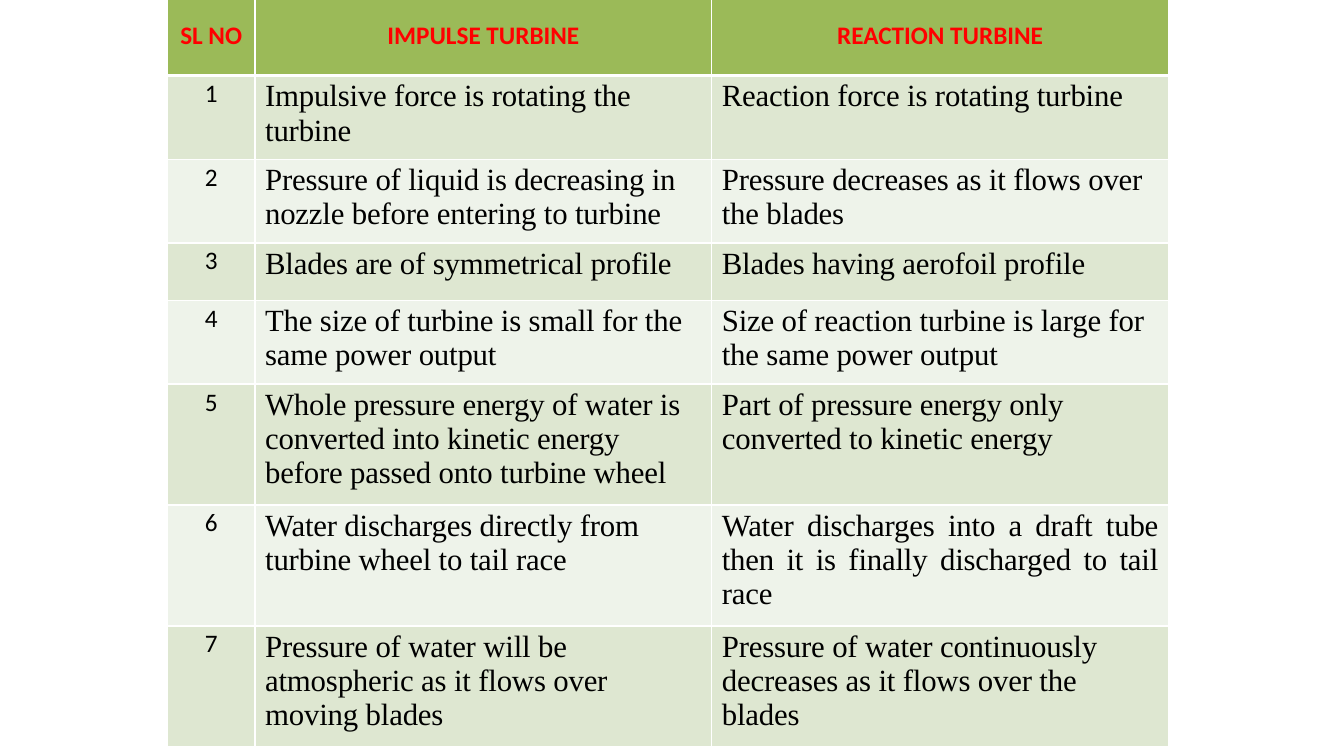
from pptx import Presentation
from pptx.dml.color import RGBColor
from pptx.enum import text
from pptx.oxml import parse_xml
from pptx.oxml.ns import nsdecls
from pptx.util import Inches, Pt

HEADS = ["SL NO", "IMPULSE TURBINE", "REACTION TURBINE"]
PAIRS = [
    ("Impulsive force is rotating the\nturbine",
     "Reaction force is rotating turbine"),
    ("Pressure of liquid is decreasing in nozzle before entering to turbine",
     "Pressure decreases as it flows over the blades"),
    ("Blades are of symmetrical profile",
     "Blades having aerofoil profile"),
    ("The size of turbine is small for the same power output",
     "Size of reaction turbine is large for the same power output"),
    ("Whole pressure energy of water is converted into kinetic energy "
     "before passed onto turbine wheel",
     "Part of pressure energy only converted to kinetic energy"),
    ("Water discharges directly from turbine wheel to tail race",
     "Water discharges into a draft tube then it is finally discharged "
     "to tail race"),
    ("Pressure of water will be atmospheric as it flows over moving blades",
     "Pressure of water continuously decreases as it flows over the blades"),
]
WIDTHS = [0.87, 4.53, 4.53]
HEIGHTS = [0.76, 0.83, 0.83, 0.57, 0.83, 1.2, 1.2, 1.2]
BANDS = ["DEE7D1", "EEF3EA"]
LEFT, CENTER, JUSTIFY = (text.PP_ALIGN.LEFT, text.PP_ALIGN.CENTER,
                         text.PP_ALIGN.JUSTIFY)


def color(code):
    return RGBColor.from_string(code)


def edge(cell, side, width):
    """Draw one white border; side is L, R, T or B."""
    cell._tc.get_or_add_tcPr().append(parse_xml(
        f'<a:ln{side} {nsdecls("a")} w="{Pt(width)}"><a:solidFill>'
        f'<a:srgbClr val="FFFFFF"/></a:solidFill></a:ln{side}>'))


def frame(cell, fill, top, bottom, inset, side):
    """Set borders, fill and insets; side is the left and right inset."""
    for name, width in zip("LRTB", (1, 1, top, bottom)):
        edge(cell, name, width)
    cell.fill.solid()
    cell.fill.fore_color.rgb = color(fill)
    cell.margin_left = cell.margin_right = Inches(side)
    cell.margin_top, cell.margin_bottom = Inches(inset), 0


def write(cell, words, font, size, ink="000000", bold=False, align=CENTER,
          track=0):
    """Fill a cell, one paragraph a line; track is in 1/100 point."""
    for n, line in enumerate(words.split("\n")):
        body = cell.text_frame
        para = body.add_paragraph() if n else body.paragraphs[0]
        para.alignment = align
        run = para.add_run()
        run.text = line
        run.font.name, run.font.size, run.font.bold = font, Pt(size), bold
        run.font.color.rgb = color(ink)
        if track:
            run._r.get_or_add_rPr().set("spc", str(track))


def add_grid(slide):
    grid = slide.shapes.add_table(
        len(HEIGHTS), len(WIDTHS), Inches(1.66), Inches(-0.01),
        Inches(sum(WIDTHS)), Inches(sum(HEIGHTS))).table
    grid.first_row = grid.horz_banding = False
    for col, width in zip(grid.columns, WIDTHS):
        col.width = Inches(width)
    for row, height in zip(grid.rows, HEIGHTS):
        row.height = Inches(height)
    return grid


def fill_head(grid):
    for c, head in enumerate(HEADS):
        cell = grid.cell(0, c)
        frame(cell, "9BBA58", 1, 3, 0.21, 0)
        write(cell, head, "Calibri", 18, "FF0000", True)


def fill_body(grid):
    for r, pair in enumerate(PAIRS, 1):
        fill, top = BANDS[(r - 1) % 2], 3 if r == 1 else 1
        cell = grid.cell(r, 0)
        frame(cell, fill, top, 1, 0.03, 0)
        write(cell, str(r), "Calibri", 18)
        for c, words in enumerate(pair, 1):
            cell = grid.cell(r, c)
            frame(cell, fill, top, 1, 0.04, 0.1)
            align = JUSTIFY if (r, c) == (6, 2) else LEFT
            write(cell, words, "Times New Roman", 22, align=align, track=-10)


def main():
    deck = Presentation()
    deck.slide_width, deck.slide_height = Inches(13.33), Inches(7.5)
    slide = deck.slides.add_slide(deck.slide_layouts[6])
    grid = add_grid(slide)
    fill_head(grid)
    fill_body(grid)
    deck.save("out.pptx")


if __name__ == "__main__":
    main()
